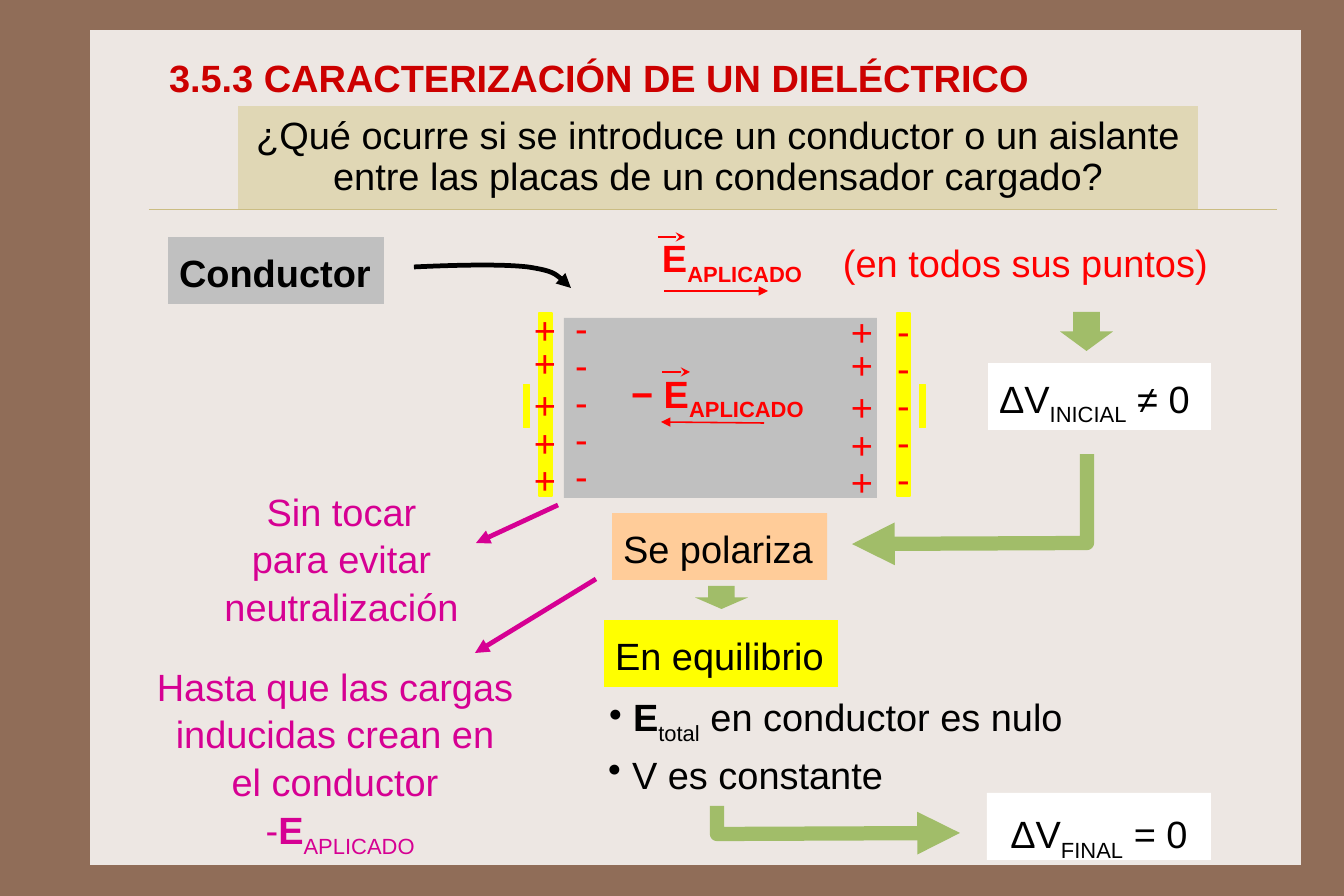
from lxml import etree
from pptx import Presentation
from pptx.dml.color import RGBColor
from pptx.enum.shapes import MSO_CONNECTOR, MSO_SHAPE
from pptx.enum.text import MSO_ANCHOR, MSO_AUTO_SIZE, PP_ALIGN
from pptx.oxml.ns import qn
from pptx.util import Pt

RECTANGLE, DOWN_ARROW = MSO_SHAPE.RECTANGLE, MSO_SHAPE.DOWN_ARROW
STRAIGHT = MSO_CONNECTOR.STRAIGHT
LEFT, CENTER = PP_ALIGN.LEFT, PP_ALIGN.CENTER
TOP, MIDDLE = MSO_ANCHOR.TOP, MSO_ANCHOR.MIDDLE
NO_AUTOFIT = MSO_AUTO_SIZE.NONE

EMU_PER_PX = 8035
TITLE_ONLY = 5
BLACK, WHITE, RED, MAGENTA = "000000", "FFFFFF", "FF0000", "D60093"
YELLOW, GRAY, GREEN, SAND = "FFFF00", "C0C0C0", "A1BD69", "E0D7B5"
BOLD, SUB, BOLD_SUB = "bold", "sub", "bold sub"


def px(*lengths):
    return [length * EMU_PER_PX for length in lengths]


def rgb(color):
    return RGBColor.from_string(color)


def write(shape, paragraphs, color=BLACK, align=LEFT, anchor=TOP, wrap=False,
          spacing=1.05, margins=(11, 10), bullet=False):
    """Fill a shape with paragraphs, each a list of (text, style) runs."""
    frame = shape.text_frame
    frame.auto_size = NO_AUTOFIT
    frame.word_wrap = wrap
    frame.vertical_anchor = anchor
    frame.margin_left = frame.margin_right = px(margins[0])[0]
    frame.margin_top = frame.margin_bottom = px(margins[1])[0]
    for index, runs in enumerate(paragraphs):
        paragraph = frame.add_paragraph() if index else frame.paragraphs[0]
        paragraph.alignment = align
        paragraph.line_spacing = spacing
        if bullet:
            properties = paragraph._p.get_or_add_pPr()
            indent = px(24)[0]
            properties.set("marL", str(indent))
            properties.set("indent", str(-indent))
            etree.SubElement(properties, qn("a:buChar"), char="•")
        for text, style in runs:
            run = paragraph.add_run()
            run.text = text
            run.font.name = "Arial"
            run.font.size = Pt(24)
            run.font.bold = BOLD in style
            run.font.color.rgb = rgb(color)
            if SUB in style:
                run.font._element.set("baseline", "-25000")


class Slide:
    def __init__(self, presentation, background):
        self.slide = presentation.slides.add_slide(
            presentation.slide_layouts[TITLE_ONLY])
        self.shapes = self.slide.shapes
        self.slide.background.fill.solid()
        self.slide.background.fill.fore_color.rgb = rgb(background)

    def title(self, box, text, color):
        """Place the title above everything drawn so far."""
        title = self.shapes.title
        title.left, title.top, title.width, title.height = px(*box)
        write(title, [[(text, BOLD)]], color, anchor=MIDDLE, wrap=True,
              spacing=1.0, margins=(12, 6))
        self.shapes.element.append(title._element)

    def block(self, box, fill, paragraphs=(), kind=RECTANGLE, outline=False,
              rotation=0, **text_format):
        shape = self.shapes.add_shape(kind, *px(*box))
        shape.shadow.inherit = False
        shape.rotation = rotation
        shape.fill.solid()
        shape.fill.fore_color.rgb = rgb(fill)
        if outline:
            shape.line.color.rgb = rgb(fill)
            shape.line.width = Pt(1)
        else:
            shape.line.fill.background()
        if paragraphs:
            write(shape, paragraphs, **text_format)

    def text(self, box, paragraphs, **text_format):
        write(self.shapes.add_textbox(*px(*box)), paragraphs, **text_format)

    def charges(self, sign, left, top, width, offsets):
        for offset in offsets:
            self.text((left, top + offset, width, 66), [[(sign, "")]],
                      color=RED, align=CENTER)

    def stroke(self, shape, color, width, head):
        shape.line.color.rgb = rgb(color)
        shape.line.width = Pt(width)
        if head:
            line = shape.line._ln
            etree.SubElement(line, qn("a:round"))
            etree.SubElement(line, qn("a:tailEnd"), type=head)

    def line(self, ends, color, width, head=None):
        connector = self.shapes.add_connector(STRAIGHT, *px(*ends))
        self.stroke(connector, color, width, head)
        etree.SubElement(connector._element.spPr, qn("a:effectLst"))

    def bent_arrow(self, points, color, width, curved=False):
        """Join points by lines, or use each three as a Bézier segment."""
        builder = self.shapes.build_freeform(*points[0], scale=EMU_PER_PX)
        builder.add_line_segments(points[1:], close=False)
        shape = builder.convert_to_shape()
        shape.shadow.inherit = False
        shape.fill.background()
        self.stroke(shape, color, width, "triangle")
        if curved:
            outline = next(shape._element.iter(qn("a:path")))
            steps = outline.findall(qn("a:lnTo"))
            for start in range(0, len(steps), 3):
                curve = etree.SubElement(outline, qn("a:cubicBezTo"))
                for step in steps[start:start + 3]:
                    curve.append(step[0])
                    outline.remove(step)


def main():
    presentation = Presentation()
    presentation.slide_width, presentation.slide_height = px(1344, 896)
    slide = Slide(presentation, "906D58")
    slide.block((90, 30, 1211, 835), "EDE7E3")
    slide.line((149, 209, 1277, 209), "CBBD83", 0.25)
    slide.title((157, 48, 1077, 58), "3.5.3 CARACTERIZACIÓN DE UN DIELÉCTRICO",
                "CC0000")
    slide.block((238, 106, 960, 103), SAND, [[(
        "¿Qué ocurre si se introduce un conductor o un aislante "
        "entre las placas de un condensador cargado?", "")]],
        align=CENTER, wrap=True, spacing=Pt(26))

    # Capacitor plates with their leads, and the conductor between them
    for plate_left, lead_left in ((539, 505), (897, 901)):
        slide.block((plate_left, 313, 13, 183), YELLOW, outline=True)
        slide.block((lead_left, 403, 43, 6), YELLOW, outline=True,
                    rotation=270)
    slide.block((564, 318, 313, 180), GRAY)
    plus_offsets = (0, 33, 75, 113, 150)
    minus_offsets = range(0, 185, 37)
    slide.charges("+", 523, 294, 44, plus_offsets)
    slide.charges("-", 564, 292, 35, minus_offsets)
    slide.charges("+", 840, 296, 44, plus_offsets)
    slide.charges("-", 886, 295, 35, minus_offsets)

    # Applied and induced fields
    applied = ("APLICADO", BOLD_SUB)
    slide.text((651, 222, 181, 67), [[("E", BOLD), applied]], color=RED)
    slide.text((620, 358, 178, 58), [[("− E", BOLD), applied]], color=RED)
    slide.line((658, 237, 685, 237), RED, 1, "stealth")
    slide.line((662, 372, 690, 372), RED, 1, "stealth")
    slide.line((664, 291, 768, 291), RED, 1, "triangle")
    slide.line((764, 423, 661, 422), RED, 1, "triangle")
    slide.text((832, 231, 394, 57), [[("(en todos sus puntos)", "")]],
               color=RED, wrap=True, margins=(11, 6))

    # Steps of the reasoning
    slide.block((168, 237, 216, 67), GRAY, [[("Conductor", BOLD)]])
    slide.block((988, 363, 223, 67), WHITE,
                [[("ΔV", ""), ("INICIAL", SUB), (" ≠ 0", "")]])
    slide.block((612, 513, 215, 67), "FFCC99", [[("Se polariza", "")]])
    slide.block((604, 620, 234, 67), YELLOW, [[("En equilibrio", "")]])
    slide.block((987, 793, 224, 67), WHITE,
                [[("ΔV", ""), ("FINAL", SUB), (" = 0", "")]],
                align=CENTER, spacing=1.15)
    slide.text((598, 681, 491, 67),
               [[("E", BOLD), ("total", SUB), (" en conductor es nulo", "")]],
               wrap=True, bullet=True)
    slide.text((597, 739, 304, 67), [[("V es constante", "")]],
               wrap=True, bullet=True)
    slide.block((695, 586, 53, 23), GREEN, kind=DOWN_ARROW)
    slide.block((1060, 312, 53, 39), GREEN, kind=DOWN_ARROW)
    slide.bent_arrow([(1087, 454), (1087, 543), (852, 544)], GREEN, 9)
    slide.bent_arrow([(717, 806), (717, 834), (960, 833)], GREEN, 9)
    slide.bent_arrow([(414, 267), (457, 265), (502, 264), (528, 267),
                      (554, 271), (563, 279), (571, 288)], BLACK, 3,
                     curved=True)

    # Remarks
    slide.text((208, 480, 267, 149),
               [[("Sin tocar", "")], [("para evitar neutralización", "")]],
               color=MAGENTA, align=CENTER, wrap=True, margins=(11, 6))
    slide.line((558, 505, 476, 543), MAGENTA, 3, "triangle")
    slide.text((145, 651, 380, 205),
               [[("Hasta que las cargas inducidas crean en el conductor", "")],
                [(" -", ""), ("E", BOLD), ("APLICADO", SUB)]],
               color=MAGENTA, align=CENTER, wrap=True)
    slide.line((596, 579, 475, 653), MAGENTA, 3, "triangle")

    presentation.save("out.pptx")


if __name__ == "__main__":
    main()
